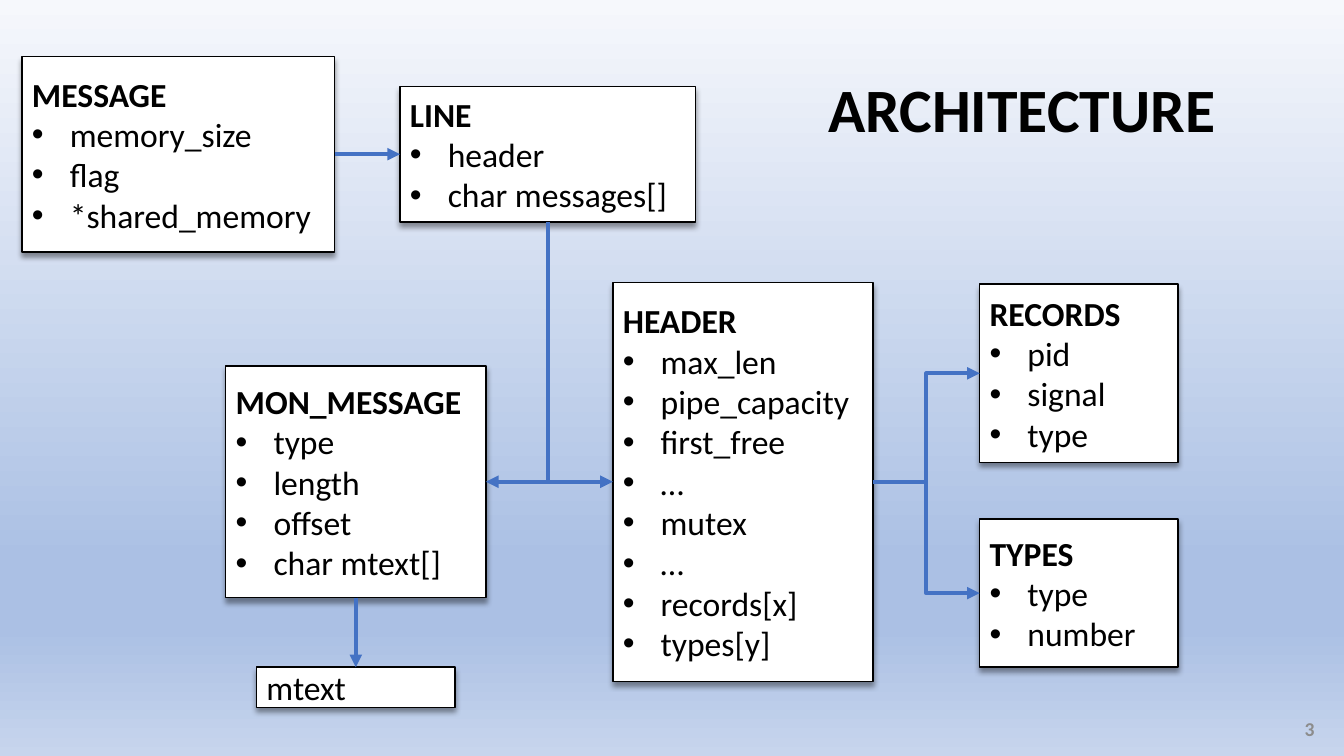
from copy import deepcopy

from lxml import etree
from pptx import Presentation
from pptx.dml.color import RGBColor
from pptx.enum import shapes, text
from pptx.oxml import ns
from pptx.util import Pt

FONT = "Calibri"
BLACK, WHITE, BLUE, GREY = "000000", "FFFFFF", "4472C4", "8C8C8C"
BACKGROUND = [(0, "F6F8FC"), (74, "ABC0E4"), (83, "ABC0E4"), (100, "C7D5ED")]
TITLE = ("ARCHITECTURE", (532, 43.2, 396, 74.9))
NUMBER = ("3", (730, 506.2, 216, 28.8))

STRUCTS = [
    ("MESSAGE", (15.8, 40.3, 223.2, 139.7), ["memory_size", "flag", "*shared_memory"]),
    ("LINE", (285.8, 61.6, 211, 97.1), ["header", "char messages[]"]),
    ("HEADER", (437.8, 201.6, 185.8, 285.1),
     ["max_len", "pipe_capacity", "first_free", "…", "mutex", "…", "records[x]", "types[y]"]),
    ("MON_MESSAGE", (161.3, 261.4, 185.8, 165.5), ["type", "length", "offset", "char mtext[]"]),
    ("RECORDS", (699.8, 203, 141.8, 127.4), ["pid", "signal", "type"]),
    ("TYPES", (699.8, 370.8, 141.8, 105.8), ["type", "number"]),
    ("mtext", (183.3, 476.6, 141.8, 28.8), []),
]

TOP, LEFT, BOTTOM, RIGHT = range(4)
LINKS = [
    ("MESSAGE", RIGHT, "LINE", LEFT, "line", "tailEnd"),
    ("MON_MESSAGE", RIGHT, "LINE", BOTTOM, "bentConnector2", "headEnd"),
    ("HEADER", LEFT, "LINE", BOTTOM, "bentConnector2", "headEnd"),
    ("HEADER", RIGHT, "RECORDS", LEFT, "bentConnector3", "tailEnd"),
    ("HEADER", RIGHT, "TYPES", LEFT, "bentConnector3", "tailEnd"),
    ("MON_MESSAGE", BOTTOM, "mtext", TOP, "line", "tailEnd"),
]


def color(value):
    return RGBColor.from_string(value)


def points(place):
    return [Pt(length) for length in place]


def child(parent, tag, **attributes):
    return etree.SubElement(parent, ns.qn(tag), attributes)


def write(para, words, size, bold, tint=BLACK, align=text.PP_ALIGN.LEFT):
    para.alignment = align
    span = para.add_run()
    span.text = words
    span.font.name = FONT
    span.font.size = Pt(size)
    span.font.bold = bold
    span.font.color.rgb = color(tint)


def paint_background(page):
    fill = page.background.fill
    fill.gradient()
    fill.gradient_angle = 270
    stops = page.background._cSld.bg.find(".//" + ns.qn("a:gsLst"))
    for _ in BACKGROUND[2:]:
        stops.append(deepcopy(stops[0]))
    for stop, (position, tint) in zip(fill.gradient_stops, BACKGROUND):
        stop.position = position / 100
        stop.color.rgb = color(tint)


def add_title(page):
    words, place = TITLE
    title = page.shapes.title
    title.left, title.top, title.width, title.height = points(place)
    title.text_frame.vertical_anchor = text.MSO_ANCHOR.MIDDLE
    para = title.text_frame.paragraphs[0]
    para.line_spacing = 0.9
    write(para, words, 44, True, align=text.PP_ALIGN.CENTER)


def add_number(page):
    words, place = NUMBER
    frame = page.shapes.add_textbox(*points(place)).text_frame
    frame.word_wrap = True
    frame.vertical_anchor = text.MSO_ANCHOR.MIDDLE
    write(frame.paragraphs[0], words, 14, True, GREY, text.PP_ALIGN.RIGHT)


def add_shadow(box):
    box.shadow.inherit = False
    effects = box.element.spPr.find(ns.qn("a:effectLst"))
    shadow = child(effects, "a:outerShdw", blurRad=str(Pt(4)), dist=str(Pt(3)),
                   dir="5400000", algn="t", rotWithShape="0")
    tint = child(shadow, "a:srgbClr", val=BLACK)
    child(tint, "a:alpha", val="40000")


def add_struct(page, name, place, fields):
    box = page.shapes.add_shape(shapes.MSO_SHAPE.RECTANGLE, *points(place))
    box.fill.solid()
    box.fill.fore_color.rgb = color(WHITE)
    box.line.color.rgb = color(BLACK)
    box.line.width = Pt(1)
    add_shadow(box)
    frame = box.text_frame
    frame.word_wrap = True
    frame.vertical_anchor = text.MSO_ANCHOR.MIDDLE
    write(frame.paragraphs[0], name, 24, bool(fields))
    for field in fields:
        para = frame.add_paragraph()
        write(para, field, 24, False)
        layout = para._p.get_or_add_pPr()
        layout.set("marL", str(Pt(27)))
        layout.set("indent", str(-Pt(27)))
        child(layout, "a:buFont", typeface="Arial")
        child(layout, "a:buChar", char="•")
    return box


def add_link(page, start, start_side, end, end_side, preset, arrow):
    kinds = shapes.MSO_CONNECTOR
    kind = kinds.STRAIGHT if preset == "line" else kinds.ELBOW
    link = page.shapes.add_connector(kind, 0, 0, 0, 0)
    link.begin_connect(start, start_side)
    link.end_connect(end, end_side)
    link.line.color.rgb = color(BLUE)
    link.line.width = Pt(3)
    properties = link._element.spPr
    properties.find(ns.qn("a:prstGeom")).set("prst", preset)
    child(properties.find(ns.qn("a:ln")), "a:" + arrow, type="triangle")
    child(properties, "a:effectLst")


def main():
    deck = Presentation()
    deck.slide_width, deck.slide_height = Pt(960), Pt(540)
    page = deck.slides.add_slide(deck.slide_layouts[5])
    paint_background(page)
    add_title(page)
    add_number(page)
    boxes = {name: add_struct(page, name, place, fields) for name, place, fields in STRUCTS}
    for start, start_side, end, end_side, preset, arrow in LINKS:
        add_link(page, boxes[start], start_side, boxes[end], end_side, preset, arrow)
    deck.save("out.pptx")


if __name__ == "__main__":
    main()
